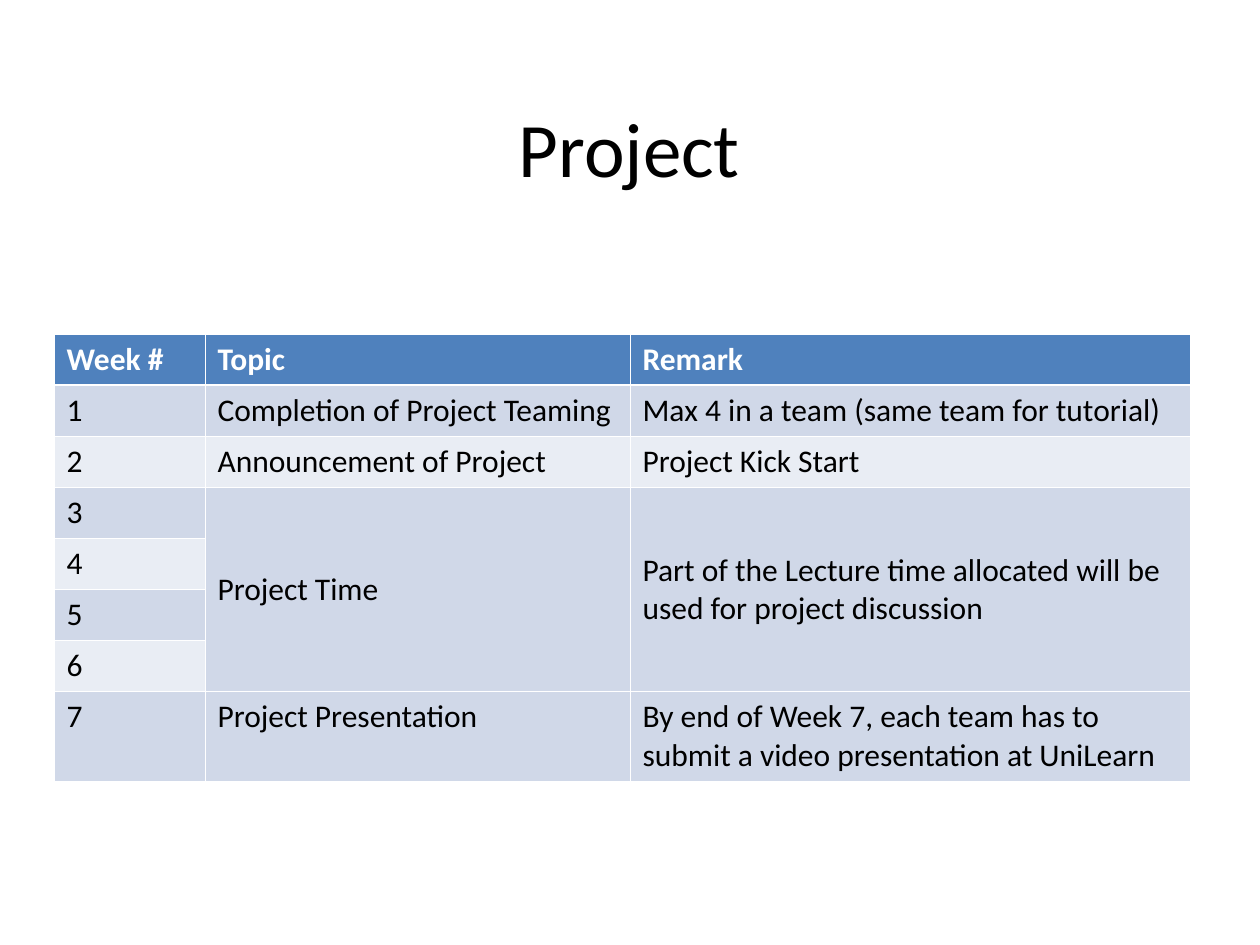
"""Build the project schedule slide: a title above a weekly table."""
from lxml import etree
from pptx import Presentation
from pptx import util as u
from pptx.dml.color import RGBColor
from pptx.enum import text
from pptx.oxml import ns

TITLE = "Project"
ROWS = [
    ("Week #", "Topic", "Remark"),
    ("1", "Completion of Project Teaming", "Max 4 in a team (same team for tutorial)"),
    ("2", "Announcement of Project", "Project Kick Start"),
    ("3", "Project Time",
     "Part of the Lecture time allocated will be used for project discussion"),
    ("4", "", ""),
    ("5", "", ""),
    ("6", "", ""),
    ("7", "Project Presentation",
     "By end of Week 7, each team has to submit a video presentation at UniLearn"),
]
MERGED_ROWS = (3, 6)
MERGED_COLUMNS = (1, 2)
MIDDLE_CELLS = {(1, 1), (2, 1), (3, 1), (3, 2)}

COLORS = {"ink": "000000", "paper": "FFFFFF", "header": "4F81BD",
          "odd": "D0D8E8", "even": "E9EDF4"}
FONT = "Calibri"
PX = u.Inches(1) / 126
TITLE_BOX = (94, 45, 1071, 203)
TABLE_LEFT, TABLE_TOP = 54, 334
COLUMN_WIDTHS = (151, 425, 560)
ROW_HEIGHTS = (51,) * 7 + (89,)
THIN, THICK = 0.45, 1.47


def px(length):
    return u.Emu(round(length * PX))


def style_font(font, size, color, bold=False):
    font.name, font.size, font.bold = FONT, u.Pt(size), bold
    font.color.rgb = RGBColor.from_string(COLORS[color])


def add_border(cell, side, width):
    properties = cell._tc.get_or_add_tcPr()
    line = etree.SubElement(properties, ns.qn(f"a:ln{side}"), w=str(u.Pt(width)))
    fill = etree.SubElement(line, ns.qn("a:solidFill"))
    etree.SubElement(fill, ns.qn("a:srgbClr"), val=COLORS["paper"])


def style_cell(cell, row, column):
    widths = {"L": THIN, "R": THIN,
              "T": THICK if row == 1 else THIN,
              "B": THICK if row == 0 else THIN}
    for side, width in widths.items():
        add_border(cell, side, width)
    first_row, last_row = MERGED_ROWS
    merged = column in MERGED_COLUMNS and first_row <= row <= last_row
    band_row = first_row if merged else row
    band = "header" if row == 0 else ("odd" if band_row % 2 else "even")
    cell.fill.solid()
    cell.fill.fore_color.rgb = RGBColor.from_string(COLORS[band])
    middle = (row, column) in MIDDLE_CELLS
    cell.vertical_anchor = text.MSO_ANCHOR.MIDDLE if middle else text.MSO_ANCHOR.TOP
    style_font(cell.text_frame.paragraphs[0].font, 18,
               "ink" if row else "paper", bold=row == 0)


def add_title(page):
    title = page.shapes.title
    title.left, title.top, title.width, title.height = map(px, TITLE_BOX)
    title.text_frame.text = TITLE
    title.text_frame.vertical_anchor = text.MSO_ANCHOR.MIDDLE
    para = title.text_frame.paragraphs[0]
    para.alignment = text.PP_ALIGN.CENTER
    style_font(para.font, 44, "ink")


def add_schedule(page):
    table = page.shapes.add_table(
        len(ROWS), len(COLUMN_WIDTHS), px(TABLE_LEFT), px(TABLE_TOP),
        px(sum(COLUMN_WIDTHS)), px(sum(ROW_HEIGHTS))).table
    for column, width in zip(table.columns, COLUMN_WIDTHS):
        column.width = px(width)
    for row, height in zip(table.rows, ROW_HEIGHTS):
        row.height = px(height)
    for i, row in enumerate(ROWS):
        for j, content in enumerate(row):
            cell = table.cell(i, j)
            cell.text = content
            style_cell(cell, i, j)
    first_row, last_row = MERGED_ROWS
    for j in MERGED_COLUMNS:
        table.cell(first_row, j).merge(table.cell(last_row, j))


def main():
    deck = Presentation()
    deck.slide_width, deck.slide_height = u.Inches(10), u.Inches(7.5)
    page = deck.slides.add_slide(deck.slide_layouts.get_by_name("Title Only"))
    add_title(page)
    add_schedule(page)
    deck.save("out.pptx")


if __name__ == "__main__":
    main()
